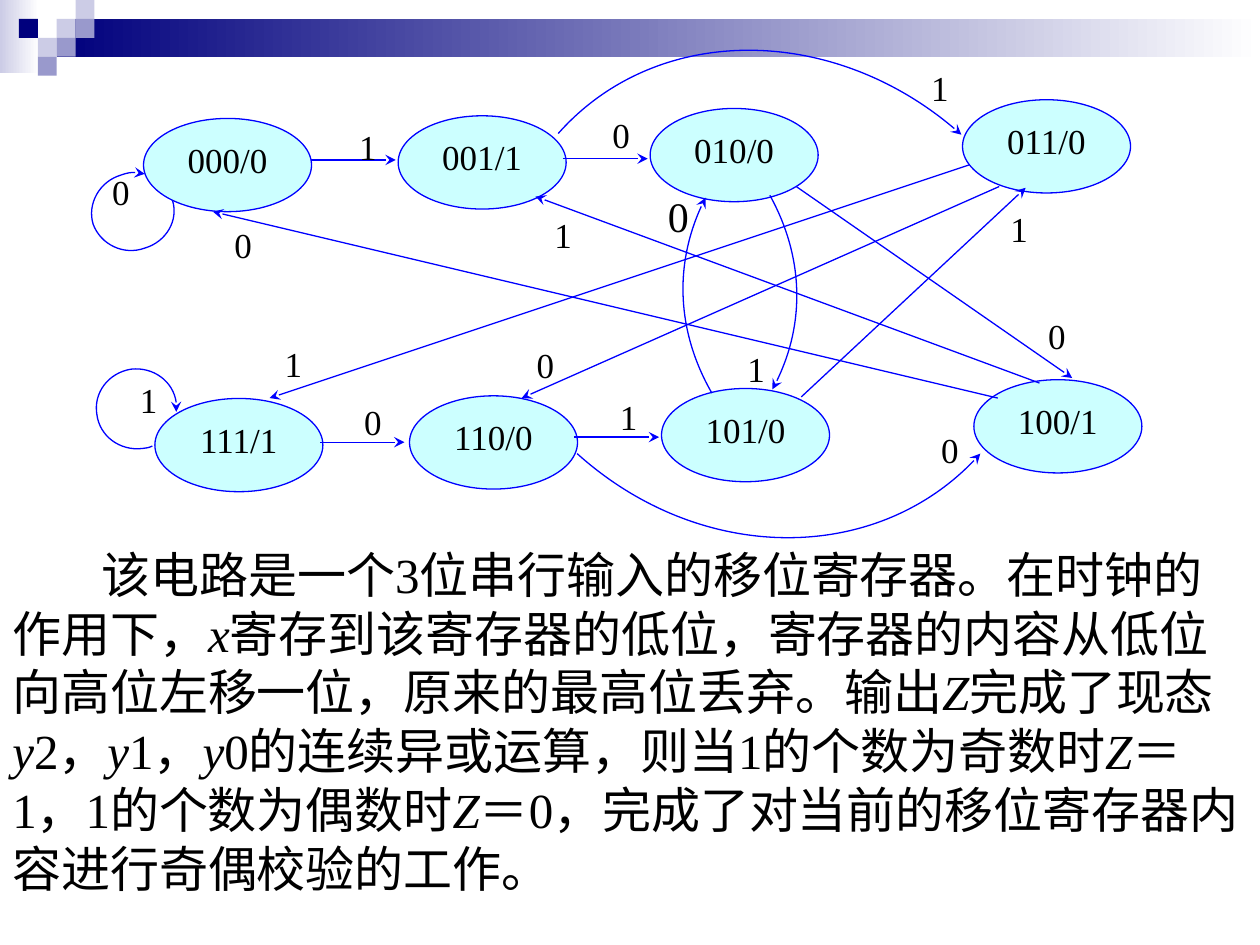
from lxml.etree import SubElement
from pptx import Presentation
from pptx.dml.color import RGBColor
from pptx.enum.shapes import MSO_CONNECTOR, MSO_SHAPE
from pptx.enum.text import MSO_ANCHOR, PP_ALIGN, MSO_AUTO_SIZE as AutoSize
from pptx.oxml.ns import qn
from pptx.util import Pt

NAVY = RGBColor(0x00, 0x00, 0x7D)
LILAC = RGBColor(0xCC, 0xCC, 0xE6)
VIOLET = RGBColor(0x99, 0x99, 0xCC)
WHITE = RGBColor(0xFF, 0xFF, 0xFF)
BLUE = RGBColor(0x00, 0x00, 0xFF)
AQUA = RGBColor(0xCC, 0xFF, 0xFF)
BLACK = RGBColor(0x00, 0x00, 0x00)
FONT = "Times New Roman"

# Header: gradient bars, and squares as (column, row, colour) on a grid
UNIT = 10.8
BARS = [((0, 0, 22.3, 41.8), LILAC), ((32.4, UNIT, 687.6, 21.6), NAVY)]
SQUARES = [(3, 1, LILAC), (4, 0, LILAC), (4, 1, VIOLET), (2, 2, LILAC),
           (1, 1, NAVY), (3, 2, VIOLET), (2, 3, VIOLET)]

# States: (upper, lower, left, top of the upper one)
STATE_W, STATE_H = 96, 53.3
LOWER_DX, LOWER_DY = 6.5, 160
STATES = [("000/0", "111/1", 82, 67.7), ("001/1", "110/0", 227.5, 66.2),
          ("010/0", "101/0", 371.5, 62), ("011/0", "100/1", 550, 57)]

# Straight transitions: start and end
ARROWS = [
    ((177.8, 91.4), (226.1, 91.4)), ((321.8, 90.7), (370.1, 90.7)),
    ((182.9, 252.7), (231.1, 252.7)), ((328.3, 249.8), (376.6, 249.8)),
    ((553.7, 94.3), (154.1, 227.5)), ((571, 106.6), (298.1, 227.5)),
    ((457.9, 226.8), (586.1, 107.3)), ((570.2, 227.5), (121.7, 121)),
    ((594, 218.9), (306, 112.3)), ((455, 106.6), (612.7, 216)),
]

# Curved transitions: a start, then three Bezier points per segment
CURVES = [
    [(319, 76.3), (375.1, 13), (478.8, 13.7), (549.4, 77)],
    [(329.8, 259.2), (400.3, 322.6), (504, 322.6), (560.2, 259.2)],
    [(406.8, 224.6), (386.6, 189.4), (385.2, 147.6), (403.2, 113)],
    [(439.9, 111.6), (459.4, 146.9), (460.1, 188.6), (441.4, 222.5)],
    [(87.1, 254.9), (85.7, 255.6), (83.5, 256.3), (81.4, 256.3),
     (68.4, 257.8), (56.9, 249.1), (55.4, 236.9),
     (53.3, 224.6), (61.9, 213.1), (74.9, 211),
     (87.8, 209.5), (99.4, 218.2), (100.8, 230.4),
     (101.5, 231.8), (101.5, 234), (100.8, 235.4)],
    [(98.6, 114.5), (102.2, 126), (95, 138.2), (82.8, 141.8),
     (70.6, 146.2), (57.6, 139.7), (53.3, 128.2),
     (49.7, 116.6), (56.9, 103.7), (69.1, 100.1),
     (73.4, 98.6), (78.5, 97.9), (82.8, 99.4)],
]

# Input labels: (text, left, top, size)
TIGHT_LABELS = [("0", 350, 66.2, 20), ("1", 205.2, 73.4, 20), ("1", 577.4, 120.2, 20),
                ("1", 354.2, 227.5, 20), ("1", 316.8, 123.8, 20), ("0", 599, 181.4, 20),
                ("0", 306.7, 198, 20), ("0", 208, 230.4, 20), ("0", 133.9, 129.6, 20)]
LOOSE_LABELS = [("0", 64, 97.2, 20), ("1", 80, 216, 20), ("0", 537.8, 244.8, 20),
                ("0", 381.6, 108.7, 24), ("1", 427, 198.7, 20), ("1", 532, 38.2, 20),
                ("1", 162.7, 195.8, 20)]
LABEL_KINDS = [(TIGHT_LABELS, 10.8, 21.6, 0.96), (LOOSE_LABELS, 15.1, 25.2, None)]

# Explanation: runs alternate between upright and italic
EXPLANATION = [
    "该电路是一个3位串行输入的移位寄存器。在时钟的作用下，", "x",
    "寄存到该寄存器的低位，寄存器的内容从低位向高位左移一位，原来的最高位丢弃。输出", "Z",
    "完成了现态", "y", "2，", "y", "1，", "y",
    "0的连续异或运算，则当1的个数为奇数时", "Z", "＝1，1的个数为偶数时", "Z",
    "＝0，完成了对当前的移位寄存器内容进行奇偶校验的工作。",
]

prs = Presentation()
prs.slide_width, prs.slide_height = Pt(720), Pt(540)
slide = prs.slides.add_slide(prs.slide_layouts[6])
shapes = slide.shapes


def points(values):
    return [Pt(value) for value in values]


def write(shape, runs, size=20, align=None, anchor=MSO_ANCHOR.TOP,
          inset=(7.2, 3.6), spacing=None, indent=0):
    frame = shape.text_frame
    frame.word_wrap = True
    frame.vertical_anchor = anchor
    frame.margin_left = frame.margin_right = Pt(inset[0])
    frame.margin_top = frame.margin_bottom = Pt(inset[1])
    paragraph = frame.paragraphs[0]
    paragraph.alignment = align
    if spacing:
        paragraph.line_spacing = spacing
    if indent:
        paragraph._p.get_or_add_pPr().set("indent", str(Pt(indent)))
    for index, text in enumerate(runs):
        run = paragraph.add_run()
        run.text = text
        run.font.name, run.font.size = FONT, Pt(size)
        run.font.color.rgb = BLACK
        run.font.italic = index % 2 == 1


def add_block(kind, box, colour, fade=False, outline=None):
    block = shapes.add_shape(kind, *points(box))
    block.shadow.inherit = False
    if fade:
        block.fill.gradient()
        block.fill.gradient_angle = 0
        for stop, shade in zip(block.fill.gradient_stops, (colour, WHITE)):
            stop.color.rgb = shade
    else:
        block.fill.solid()
        block.fill.fore_color.rgb = colour
    if outline:
        block.line.color.rgb, block.line.width = outline, Pt(0.75)
    else:
        block.line.fill.background()
    return block


def style_arrow(arrow):
    arrow.line.color.rgb, arrow.line.width = BLUE, Pt(0.75)
    SubElement(arrow.line._get_or_add_ln(), qn("a:tailEnd"), type="stealth")
    SubElement(arrow._element.spPr, qn("a:effectLst"))


def add_curve(start, *controls):
    builder = shapes.build_freeform(*points(start))
    builder.add_line_segments([points(point) for point in controls], close=False)
    curve = builder.convert_to_shape()
    curve.fill.background()
    # Turn every three line segments into one Bezier segment
    outline = next(curve._element.iter(qn("a:path")))
    segments = outline.findall(qn("a:lnTo"))
    for first in range(0, len(segments), 3):
        bezier = SubElement(outline, qn("a:cubicBezTo"))
        for segment in segments[first:first + 3]:
            bezier.append(segment[0])
            outline.remove(segment)
    style_arrow(curve)


# Header
for box, colour in BARS:
    add_block(MSO_SHAPE.RECTANGLE, box, colour, fade=True)
for column, row, colour in SQUARES:
    add_block(MSO_SHAPE.RECTANGLE, (column * UNIT, row * UNIT, UNIT, UNIT), colour)

# States
for upper, lower, left, top in STATES:
    for name, x, y in ((upper, left, top), (lower, left + LOWER_DX, top + LOWER_DY)):
        state = add_block(MSO_SHAPE.OVAL, (x, y, STATE_W, STATE_H), AQUA, outline=BLUE)
        write(state, [name], align=PP_ALIGN.CENTER)

# Transitions
for start, end in ARROWS:
    style_arrow(shapes.add_connector(MSO_CONNECTOR.STRAIGHT, *points(start + end)))
for curve_points in CURVES:
    add_curve(*curve_points)

# Input labels
for labels, width, height, spacing in LABEL_KINDS:
    for text, left, top, size in labels:
        label = shapes.add_textbox(*points((left, top, width, height)))
        write(label, [text], size=size, align=PP_ALIGN.JUSTIFY, inset=(0, 0), spacing=spacing)

# Explanation
explanation = shapes.add_textbox(*points((0, 307.4, 720, 208.8)))
write(explanation, EXPLANATION, size=28, anchor=MSO_ANCHOR.MIDDLE, indent=51)
explanation.text_frame.auto_size = AutoSize.SHAPE_TO_FIT_TEXT

prs.save("out.pptx")
